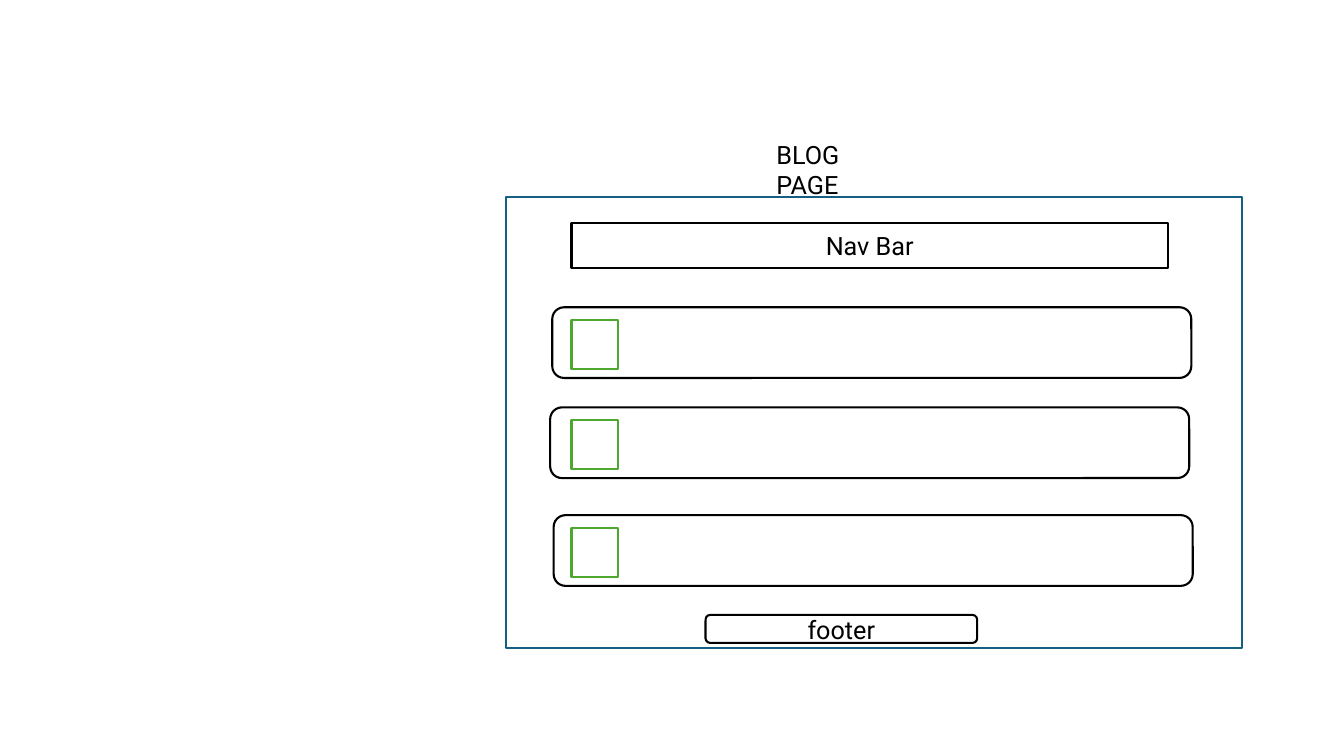
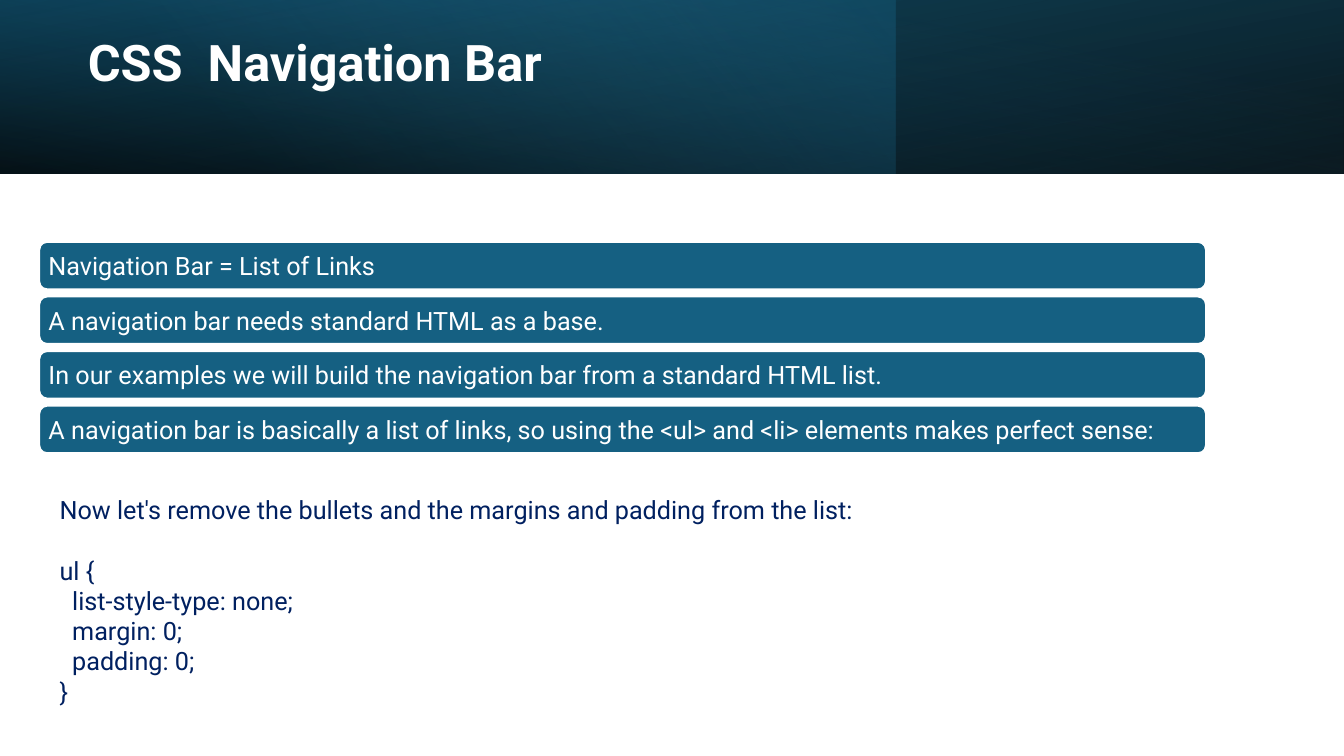
from collections import namedtuple

from lxml.etree import SubElement
from pptx import Presentation
from pptx.dml.color import RGBColor
from pptx.enum.shapes import MSO_SHAPE
from pptx.enum.text import MSO_ANCHOR, PP_ALIGN
from pptx.oxml.ns import qn
from pptx.util import Pt

# Shared look
WHITE = RGBColor(0xFF, 0xFF, 0xFF)
BLACK = RGBColor(0x00, 0x00, 0x00)
TEAL = RGBColor(0x15, 0x60, 0x82)
DEEP_TEAL = RGBColor(0x10, 0x48, 0x62)
SKY = RGBColor(0x46, 0xB1, 0xE1)
GREEN = RGBColor(0x4E, 0xA7, 0x2E)
NAVY = RGBColor(0x00, 0x20, 0x60)
FONT = "Roboto"
TEXT_SIZE = 18
LINE_WIDTH = 1.5
SLIDE_WIDTH, SLIDE_HEIGHT = 960, 540

Box = namedtuple("Box", "left top width height")

BAR_TEXTS = [
    "Navigation Bar = List of Links",
    "A navigation bar needs standard HTML as a base.",
    "In our examples we will build the navigation bar from a standard HTML list.",
    "A navigation bar is basically a list of links, so using the <ul> and <li> "
    "elements makes perfect sense:",
]
CODE_INTRO = "Now let's remove the bullets and the margins and padding from the list:"
CODE_LINES = [  # (text, indent level)
    ("ul {", 0),
    ("list-style-type: none;", 1),
    ("margin: 0;", 1),
    ("padding: 0;", 1),
    ("}", 0),
]


def in_points(box):
    return [Pt(length) for length in box]


def inside(box, left, top, width, height):
    return Box(box.left + left, box.top + top, width, height)


def style_paragraph(paragraph, color, size=TEXT_SIZE, bold=False):
    paragraph.font.name = FONT
    paragraph.font.size = Pt(size)
    paragraph.font.bold = bold
    paragraph.font.color.rgb = color


def add_panel(slide, box, line, fill=WHITE, kind=MSO_SHAPE.RECTANGLE):
    shape = slide.shapes.add_shape(kind, *in_points(box))
    shape.shadow.inherit = False
    shape.fill.solid()
    shape.fill.fore_color.rgb = fill
    shape.line.color.rgb = line
    shape.line.width = Pt(LINE_WIDTH)
    return shape


def set_label(shape, text, color, align=PP_ALIGN.CENTER, margin=5):
    frame = shape.text_frame
    frame.word_wrap = True
    frame.vertical_anchor = MSO_ANCHOR.MIDDLE
    frame.margin_left = frame.margin_right = Pt(margin)
    frame.margin_top = frame.margin_bottom = 0
    paragraph = frame.paragraphs[0]
    paragraph.text = text
    paragraph.alignment = align
    style_paragraph(paragraph, color)


def add_text_box(slide, box):
    frame = slide.shapes.add_textbox(*in_points(box)).text_frame
    frame.word_wrap = True
    return frame


# Wireframe
def add_wireframe(slide, box):
    rounded = MSO_SHAPE.ROUNDED_RECTANGLE
    caption = add_text_box(slide, inside(box, 186, -44.75, 80, 50)).paragraphs[0]
    add_panel(slide, box, TEAL)
    caption.text = "BLOG PAGE"
    style_paragraph(caption, BLACK)

    nav_bar = add_panel(slide, inside(box, 46.75, 18.75, 426, 32), BLACK)
    set_label(nav_bar, "Nav Bar", BLACK)
    footer = add_panel(slide, inside(box, 142.5, 298.75, 194, 20), BLACK, kind=rounded)
    set_label(footer, "footer", BLACK)

    # Blog entries, each with a thumbnail in a common column
    for left, top in [(33, 79), (31.5, 150.5), (34, 227.5)]:
        add_panel(slide, inside(box, left, top, 456.5, 50.5), BLACK, kind=rounded)
        add_panel(slide, inside(box, 46.75, top + 9, 33.5, 35), GREEN)


# Header band
def add_gradient(slide, box, stops, angle):
    """Stops are (position, colour, opacity percent); angle runs clockwise."""
    shape = slide.shapes.add_shape(MSO_SHAPE.RECTANGLE, *in_points(box))
    shape.shadow.inherit = False
    shape.line.fill.background()
    shape.fill.gradient()
    shape.fill.gradient_angle = 360 - angle
    properties = shape._element.spPr
    for stop, (position, color, _) in zip(shape.fill.gradient_stops, stops):
        stop.position = position
        stop.color.rgb = color
    for color_element, (_, _, opacity) in zip(properties.iter(qn("a:srgbClr")), stops):
        SubElement(color_element, qn("a:alpha")).set("val", str(opacity * 1000))
    return shape


def mirror(shape):
    shape._element.spPr.find(qn("a:xfrm")).set("flipH", "1")


def add_header(slide, box, text):
    base = add_gradient(slide, box, [(0, BLACK, 96), (1, DEEP_TEAL, 100)], 100)
    base.rotation = 180
    mirror(base)
    left_part = box._replace(width=box.width * 2 / 3)
    add_gradient(slide, left_part, [(0, TEAL, 41), (0.74, SKY, 0)], 140)
    mirror(add_gradient(slide, box, [(0, BLACK, 63), (0.78, TEAL, 15)], 260))

    title = slide.shapes.title
    title.left, title.top, title.width, title.height = in_points(
        inside(box, 55.5, 19.5, 556, 91.5))
    slide.shapes._spTree.append(title._element)  # bring above the band
    frame = title.text_frame
    frame.vertical_anchor = MSO_ANCHOR.TOP
    frame.margin_top = Pt(7.5)
    paragraph = frame.paragraphs[0]
    paragraph.text = text
    paragraph.alignment = PP_ALIGN.LEFT
    paragraph.line_spacing = 0.9
    style_paragraph(paragraph, WHITE, 36, bold=True)


# Content
def add_bars(slide, box, texts, gap=5):
    height = (box.height - gap * (len(texts) - 1)) / len(texts)
    for index, text in enumerate(texts):
        bar_box = inside(box, 0, index * (height + gap), box.width, height)
        bar = add_panel(slide, bar_box, WHITE, TEAL, MSO_SHAPE.ROUNDED_RECTANGLE)
        set_label(bar, text, WHITE, PP_ALIGN.LEFT)


def add_code(slide, box, intro, lines):
    frame = add_text_box(slide, box)
    paragraph = frame.paragraphs[0]
    paragraph.text = intro
    paragraph.space_after = Pt(22)
    style_paragraph(paragraph, NAVY)
    for text, level in lines:
        paragraph = frame.add_paragraph()
        paragraph.text = text
        paragraph._p.get_or_add_pPr().set("marL", str(Pt(9 * level)))
        style_paragraph(paragraph, NAVY)


def main():
    presentation = Presentation()
    presentation.slide_width = Pt(SLIDE_WIDTH)
    presentation.slide_height = Pt(SLIDE_HEIGHT)
    title_only, blank = presentation.slide_layouts[5], presentation.slide_layouts[6]

    blog_slide = presentation.slides.add_slide(blank)
    add_wireframe(blog_slide, Box(361.5, 140.5, 525.5, 322.5))

    navigation_slide = presentation.slides.add_slide(title_only)
    add_header(navigation_slide, Box(0, 0, SLIDE_WIDTH, 124), "CSS  Navigation Bar")
    add_bars(navigation_slide, Box(28, 172.75, 833.5, 151), BAR_TEXTS)
    add_code(navigation_slide, Box(35.5, 349.25, 839.5, 160), CODE_INTRO, CODE_LINES)

    presentation.save("out.pptx")


if __name__ == "__main__":
    main()
